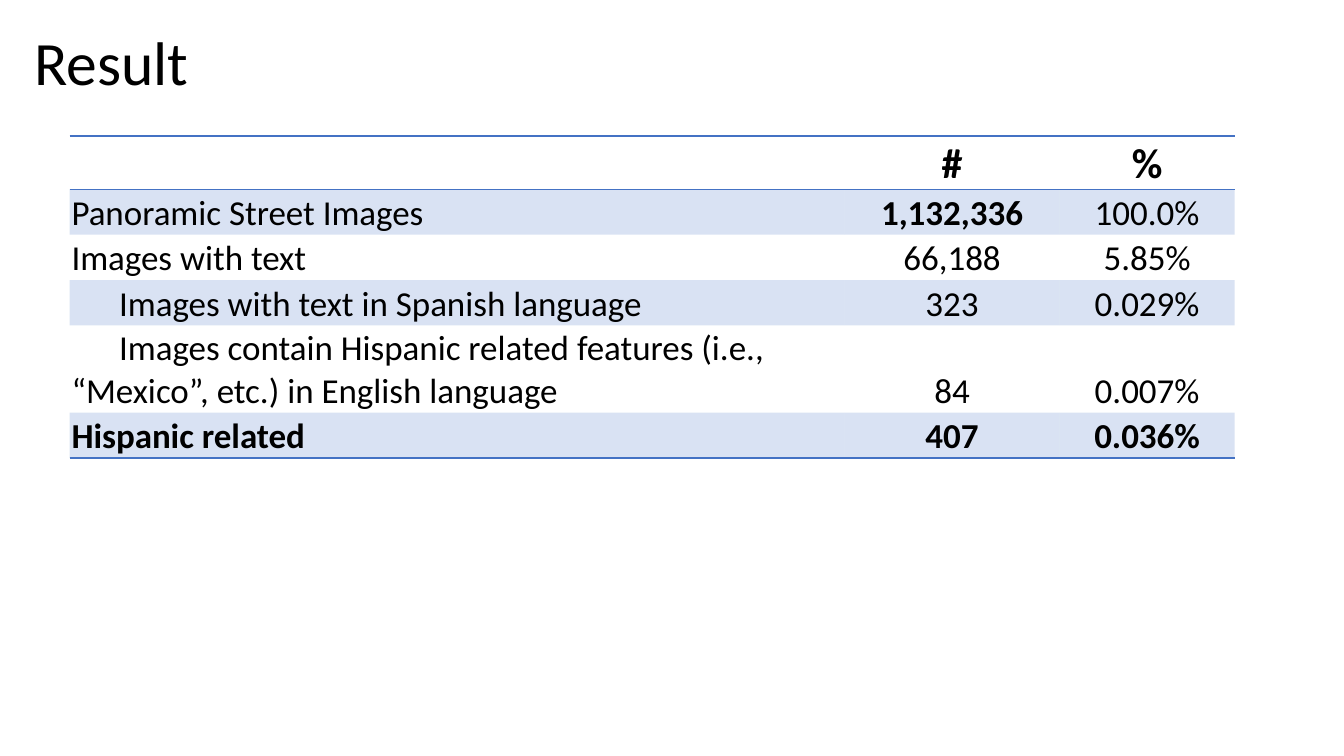
from lxml.etree import SubElement
from pptx import Presentation
from pptx.dml.color import RGBColor
from pptx.enum.text import MSO_ANCHOR, MSO_AUTO_SIZE, PP_ALIGN
from pptx.oxml import parse_xml
from pptx.oxml.ns import nsdecls, qn
from pptx.util import Pt

FONT = "Calibri"
BLACK = "000000"
BLUE = "4472C4"
NO_STYLE = "{2D5ABB26-0587-4C30-8999-92F81FD0307C}"
FIRST_LINE_INDENT = 34

COLUMN_SHARES = [7.69, 2.13, 1.74]
ROW_HEIGHTS = [36.7, 32.4, 32.4, 32.4, 60.5, 32.4]
ROWS = [
    ("", "#", "%"),
    ("Panoramic Street Images", "1,132,336", "100.0%"),
    ("Images with text", "66,188", "5.85%"),
    ("Images with text in Spanish language", "323", "0.029%"),
    ("Images contain Hispanic related features (i.e., “Mexico”, etc.) in English language",
     "84", "0.007%"),
    ("Hispanic related", "407", "0.036%"),
]
LAST_ROW = len(ROWS) - 1
INDENTED_ROWS = (3, 4)
BOLD_ROWS = (0, LAST_ROW)
BOLD_CELL = (1, 1)


def color(hex_string):
    return RGBColor.from_string(hex_string)


def format_runs(paragraph, size, bold=False):
    for run in paragraph.runs:
        run.font.name = FONT
        run.font.size = Pt(size)
        run.font.bold = bold
        run.font.color.rgb = color(BLACK)


def add_title(slide, left, top, width, height):
    title = slide.shapes.title
    title.left, title.top, title.width, title.height = map(Pt, (left, top, width, height))
    frame = title.text_frame
    frame.text = "Result"
    frame.word_wrap = True
    frame.auto_size = MSO_AUTO_SIZE.NONE
    frame.vertical_anchor = MSO_ANCHOR.MIDDLE
    paragraph = frame.paragraphs[0]
    paragraph.alignment = PP_ALIGN.LEFT
    paragraph.line_spacing = 0.9
    format_runs(paragraph, 44)


def fill_band(cell):
    cell.fill.solid()
    cell.fill.fore_color.rgb = color(BLUE)
    tint = next(cell._tc.get_or_add_tcPr().iter(qn("a:srgbClr")))
    SubElement(tint, qn("a:alpha"), val="20000")


def add_borders(cell, sides):
    properties = cell._tc.get_or_add_tcPr()
    for position, side in enumerate(sides):
        properties.insert(position, parse_xml(
            f'<a:{side} w="{Pt(1)}" {nsdecls("a")}><a:solidFill>'
            f'<a:srgbClr val="{BLUE}"/></a:solidFill></a:{side}>'))


def format_cell(cell, text, row, column):
    cell.text = text
    cell.vertical_anchor = MSO_ANCHOR.BOTTOM
    cell.margin_left = cell.margin_right = cell.margin_top = Pt(1.4)
    cell.margin_bottom = Pt(0)
    paragraph = cell.text_frame.paragraphs[0]
    paragraph.alignment = PP_ALIGN.CENTER if column else PP_ALIGN.LEFT
    if row in INDENTED_ROWS and column == 0:
        paragraph._p.get_or_add_pPr().set("indent", str(Pt(FIRST_LINE_INDENT)))
    bold = row in BOLD_ROWS or (row, column) == BOLD_CELL
    format_runs(paragraph, 25 if row else 30, bold)
    if row % 2:
        fill_band(cell)
    else:
        cell.fill.background()
    if row == 0:
        add_borders(cell, ("lnT", "lnB"))
    elif row == LAST_ROW:
        add_borders(cell, ("lnB",))


def add_result_table(slide, left, top, width):
    frame = slide.shapes.add_table(
        len(ROWS), len(COLUMN_SHARES), Pt(left), Pt(top), Pt(width), Pt(sum(ROW_HEIGHTS)))
    table = frame.table
    table.first_row = table.horz_banding = False
    next(table._tbl.iter(qn("a:tableStyleId"))).text = NO_STYLE
    for column, share in zip(table.columns, COLUMN_SHARES):
        column.width = Pt(width * share / sum(COLUMN_SHARES))
    for row, height in zip(table.rows, ROW_HEIGHTS):
        row.height = Pt(height)
    for row, texts in enumerate(ROWS):
        for column, text in enumerate(texts):
            format_cell(table.cell(row, column), text, row, column)


def main():
    presentation = Presentation()
    presentation.slide_width, presentation.slide_height = Pt(960), Pt(540)
    slide = presentation.slides.add_slide(presentation.slide_layouts[5])
    add_title(slide, 17.3, 18, 864, 58.3)
    add_result_table(slide, 49.7, 97.2, 832.3)
    presentation.save("out.pptx")


if __name__ == "__main__":
    main()
